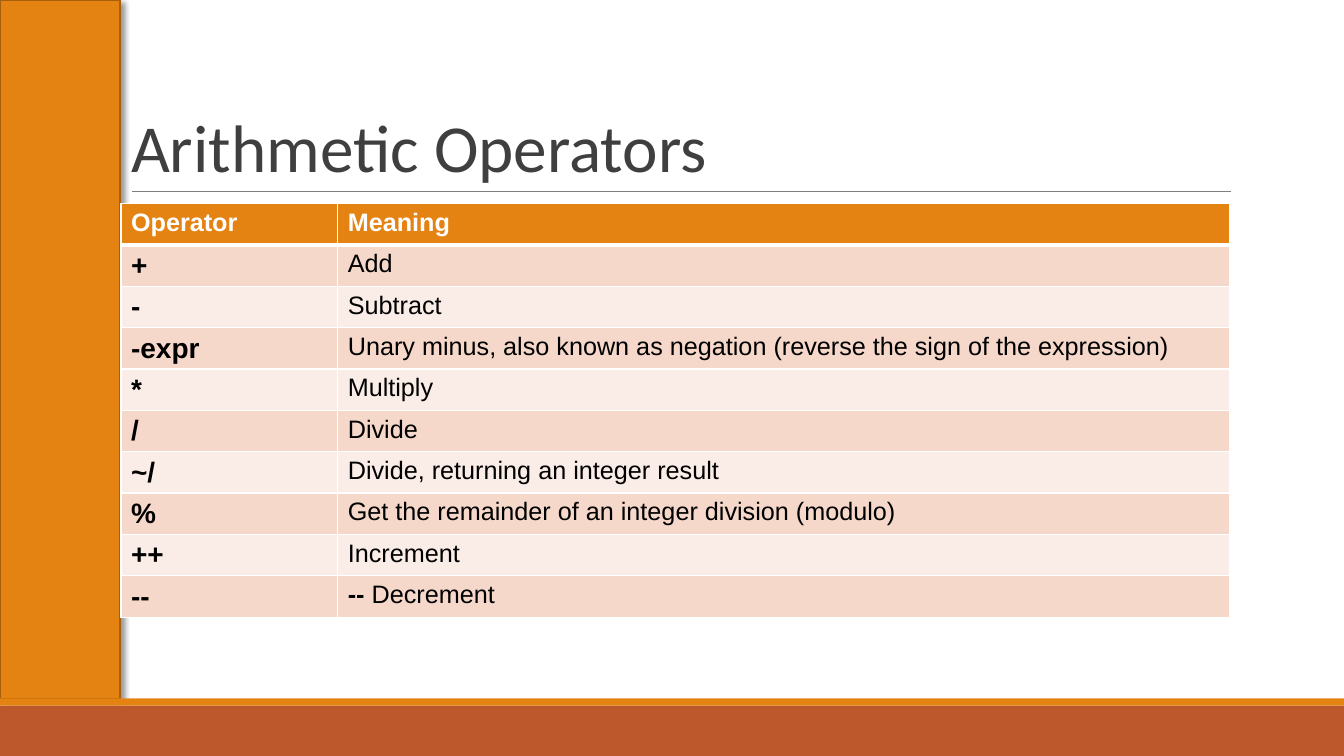
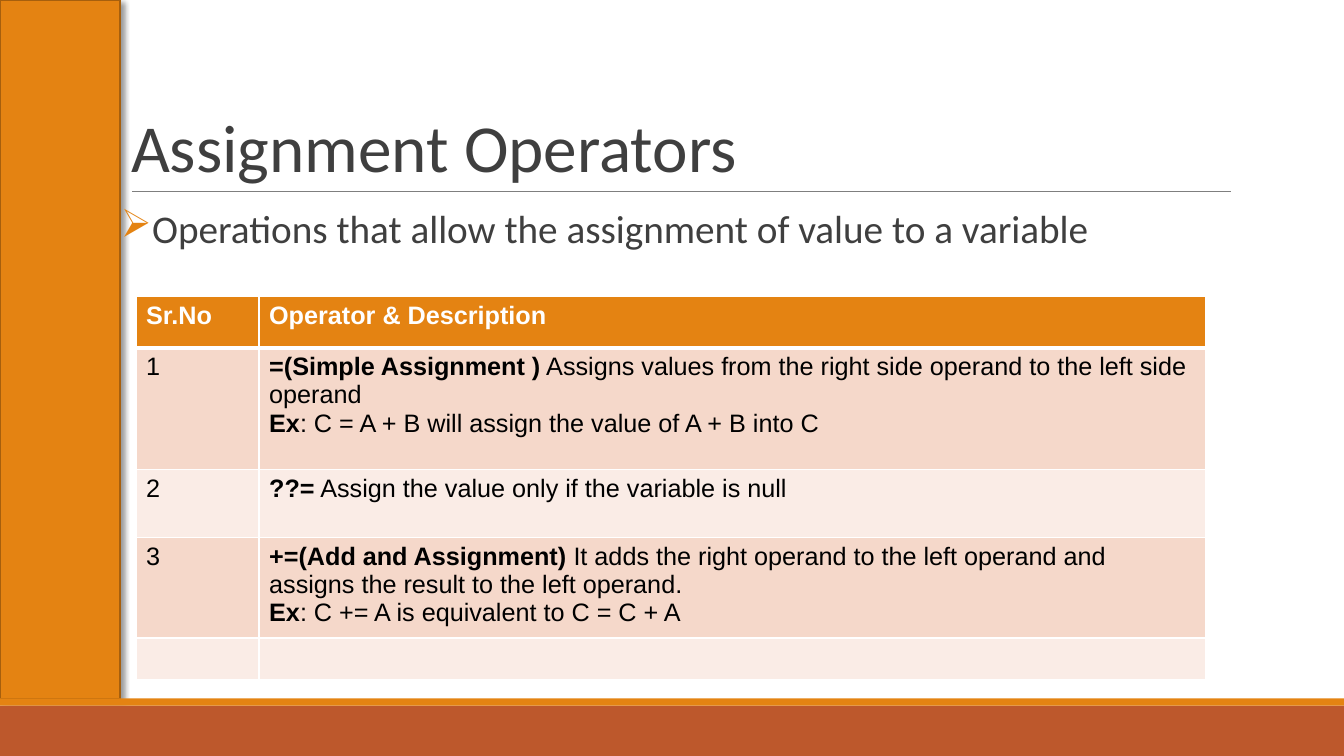
from lxml import etree
from pptx import Presentation
from pptx import util as u
from pptx.dml.color import RGBColor
from pptx.enum import shapes, text
from pptx.oxml import parse_xml
from pptx.oxml.ns import nsdecls, qn

PX = 9144  # 100 px to the inch
WIDE, HIGH = 1333, 750
ORANGE = RGBColor(0xE4, 0x83, 0x12)
EDGE = RGBColor(0xA6, 0x5F, 0x0D)
RUST = RGBColor(0xBD, 0x58, 0x2C)
GREY = RGBColor(0x7F, 0x7F, 0x7F)
DARK = RGBColor(0x3F, 0x3F, 0x3F)
WHITE = RGBColor(0xFF, 0xFF, 0xFF)
BLACK = RGBColor(0, 0, 0)
BANDS = RGBColor(0xF5, 0xD8, 0xCA), RGBColor(0xFA, 0xEC, 0xE6)

MATH = [
    ("Operator", "Meaning"),
    ("+", "Add"),
    ("-", "Subtract"),
    ("-expr", "Unary minus, also known as negation (reverse the sign of the expression)"),
    ("*", "Multiply"),
    ("/", "Divide"),
    ("~/", "Divide, returning an integer result"),
    ("%", "Get the remainder of an integer division (modulo)"),
    ("++", "Increment"),
    ("--", [("--", " Decrement")]),
]
ASSIGN = [
    ("Sr.No", "Operator & Description"),
    ("1", [("=(Simple Assignment )",
            " Assigns values from the right side operand to the left side operand"),
           ("Ex", ": C = A + B will assign the value of A + B into C")]),
    ("2", [("??=", " Assign the value only if the variable is null")]),
    ("3", [("+=(Add and Assignment)",
            " It adds the right operand to the left operand and"
            " assigns the result to the left operand."),
           ("Ex", ": C += A is equivalent to C = C + A")]),
    ("", ""),
]


def px(*sizes):
    return [u.Emu(size * PX) for size in sizes]


def write(frame, words, size=18, font="Arial", color=BLACK, bold=False, lead=None):
    """Fill a frame from a string or a list of (bold, plain) paragraphs."""
    frame.word_wrap = True
    lines = [(None, words)] if isinstance(words, str) else words
    for i, (strong, plain) in enumerate(lines):
        para = frame.add_paragraph() if i else frame.paragraphs[0]
        para.alignment = text.PP_ALIGN.LEFT
        if lead:
            para.line_spacing = lead
        for part, heavy in ((strong, True), (plain, bold)):
            if part:
                run = para.add_run()
                run.text = part
                run.font.size, run.font.name = u.Pt(size), font
                run.font.bold = heavy
                run.font.color.rgb = color


def block(slide, box, fill, edge=None):
    rect = slide.shapes.add_shape(shapes.MSO_SHAPE.RECTANGLE, *px(*box))
    rect.shadow.inherit = False
    rect.fill.solid()
    rect.fill.fore_color.rgb = fill
    if edge:
        rect.line.color.rgb = edge
        rect.line.width = u.Pt(1.25)
    else:
        rect.line.fill.background()
    return rect


def shade(rect):
    """Cast a soft shadow to the lower right."""
    effect = rect.element.spPr.find(qn("a:effectLst"))
    effect.append(parse_xml(
        f'<a:outerShdw {nsdecls("a")} blurRad="{u.Pt(4)}" dist="{u.Pt(3)}" '
        'dir="2700000" algn="tl" rotWithShape="0"><a:srgbClr val="000000">'
        '<a:alpha val="40000"/></a:srgbClr></a:outerShdw>'))


def rule(slide, left, right, top):
    line = slide.shapes.add_connector(
        shapes.MSO_CONNECTOR.STRAIGHT, *px(left, top, right, top))
    line.line.color.rgb = GREY
    line.line.width = u.Pt(0.75)
    etree.SubElement(line.element.spPr, qn("a:effectLst"))


def page(deck, name):
    """Add a slide with the shared bands, rule and title."""
    slide = deck.slides.add_slide(deck.slide_layouts[5])
    shade(block(slide, (0, 0, 119, 693), ORANGE, EDGE))
    block(slide, (0, 700, WIDE, 50), RUST)
    block(slide, (0, 693, WIDE, 7), ORANGE)
    rule(slide, 131, 1221, 190)
    title = slide.shapes.title
    title.left, title.top, title.width, title.height = px(120, 31, 1100, 159)
    frame = title.text_frame
    frame.auto_size = text.MSO_AUTO_SIZE.NONE
    frame.vertical_anchor = text.MSO_ANCHOR.BOTTOM
    write(frame, name, size=48, font="Calibri", color=DARK, lead=0.85)
    return slide


def point(slide, box, words):
    """Add a text box with one arrow bullet."""
    frame = slide.shapes.add_textbox(*px(*box)).text_frame
    frame.margin_left = frame.margin_right = 0
    write(frame, words, size=28, font="Calibri", color=DARK, lead=0.9)
    props = frame.paragraphs[0]._p.get_or_add_pPr()
    props.set("marL", str(10 * PX))
    props.set("indent", str(-19 * PX))
    color = etree.SubElement(props, qn("a:buClr"))
    etree.SubElement(color, qn("a:srgbClr"), val=str(ORANGE))
    # Wingdings draws this letter as an arrowhead
    etree.SubElement(props, qn("a:buFont"), typeface="Wingdings",
                     pitchFamily="2", charset="2")
    etree.SubElement(props, qn("a:buChar"), char="Ø")


def border(cell, top=1, base=1):
    props = cell._tc.get_or_add_tcPr()
    sides = (("L", 1), ("R", 1), ("T", top), ("B", base))
    for i, (side, width) in enumerate(sides):
        props.insert(i, parse_xml(
            f'<a:ln{side} {nsdecls("a")} w="{u.Pt(width)}"><a:solidFill>'
            f'<a:srgbClr val="{WHITE}"/></a:solidFill></a:ln{side}>'))


def table(slide, left, top, cols, rows, data, **key):
    """Draw a banded table; key formats the first column below the header."""
    box = px(left, top, sum(cols), sum(rows))
    grid = slide.shapes.add_table(len(rows), len(cols), *box).table
    grid.horz_banding = False
    for col, width in zip(grid.columns, px(*cols)):
        col.width = width
    for r, (row, height, line) in enumerate(zip(grid.rows, px(*rows), data)):
        row.height = height
        for c, (cell, words) in enumerate(zip(row.cells, line)):
            cell.fill.solid()
            cell.fill.fore_color.rgb = BANDS[(r - 1) % 2] if r else ORANGE
            border(cell, top=3 if r == 1 else 1, base=1 if r else 3)
            if r == 0:
                style = {"color": WHITE, "bold": True}
            else:
                style = key if c == 0 else {}
            write(cell.text_frame, words, **style)


def main():
    deck = Presentation()
    deck.slide_width, deck.slide_height = px(WIDE, HIGH)

    slide = page(deck, "Arithmetic Operators")
    table(slide, 120, 202, (215, 885), [41] * len(MATH), MATH, size=20, bold=True)

    slide = page(deck, "Assignment Operators")
    point(slide, (120, 203, 1100, 440),
          "Operations that allow the assignment of value to a variable")
    table(slide, 135, 294, (122, 939), (51, 121, 67, 41, 41), ASSIGN)

    deck.save("out.pptx")


if __name__ == "__main__":
    main()
